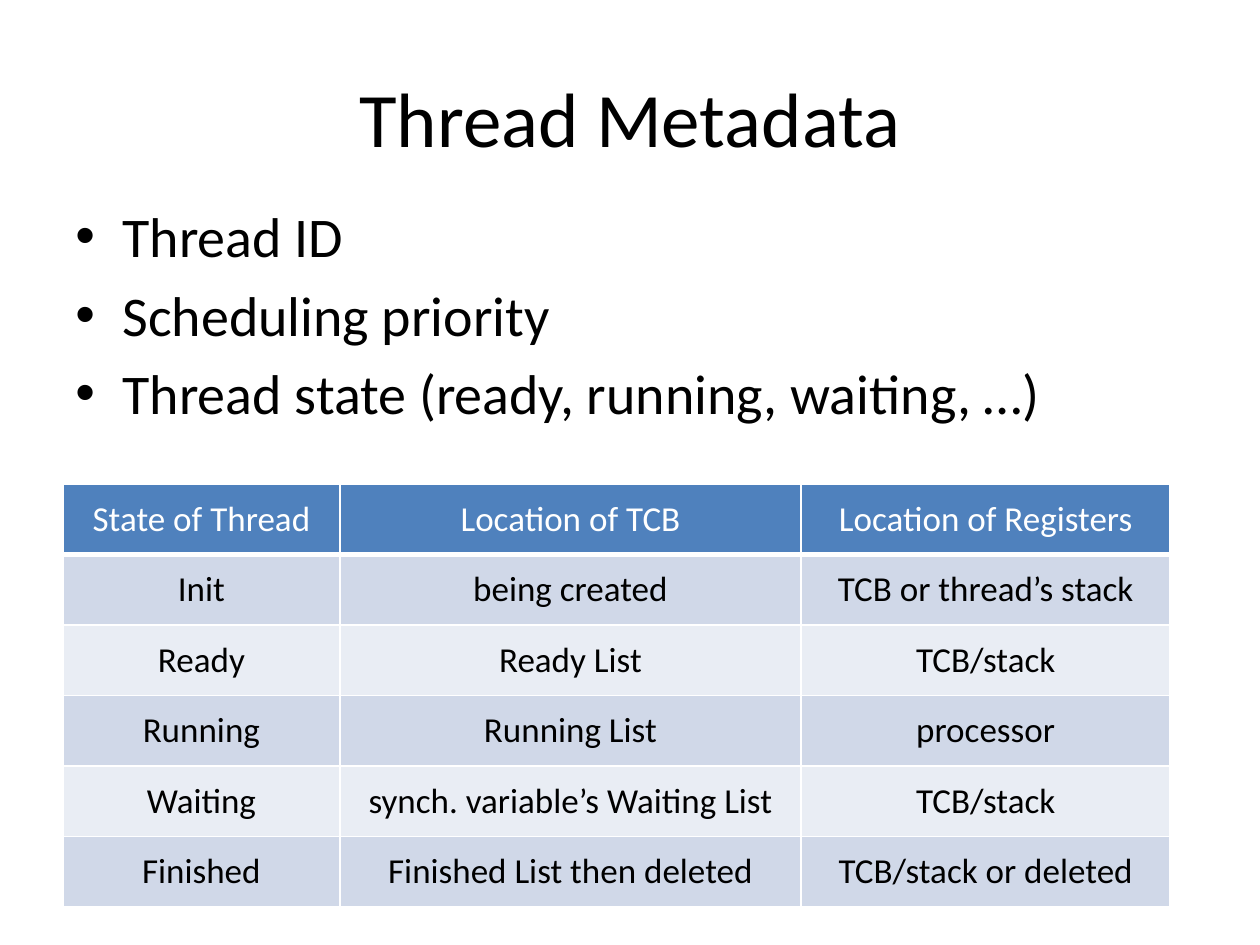
"""Build the Thread Metadata slide with a bullet list and a state table."""
from lxml import etree
from pptx import Presentation
from pptx.dml.color import RGBColor
from pptx.enum.text import MSO_ANCHOR, PP_ALIGN
from pptx.oxml.ns import qn
from pptx.util import Cm, Pt

MID, TOP = MSO_ANCHOR.MIDDLE, MSO_ANCHOR.TOP
CENTER, LEFT = PP_ALIGN.CENTER, PP_ALIGN.LEFT
COLORS = {"text": "000000", "white": "FFFFFF", "head": "4F81BD",
          "odd": "D0D8E8", "even": "E9EDF4"}
POINTS = ["Thread ID", "Scheduling priority",
          "Thread state (ready, running, waiting, …)"]
ROWS = [
    ["State of Thread", "Location of TCB", "Location of Registers"],
    ["Init", "being created", "TCB or thread’s stack"],
    ["Ready", "Ready List", "TCB/stack"],
    ["Running", "Running List", "processor"],
    ["Waiting", "synch. variable’s Waiting List", "TCB/stack"],
    ["Finished", "Finished List then deleted", "TCB/stack or deleted"],
]
WIDTHS = [5.58, 9.3, 7.44]
ROW = 1.42


def write(para, text, size, color, align):
    para.alignment = align
    run = para.add_run()
    run.text = text
    looks = {"name": "Calibri", "size": Pt(size)}
    for key, value in looks.items():
        setattr(run.font, key, value)
    run.font.color.rgb = RGBColor.from_string(COLORS[color])


def add_box(top, height, anchor):
    box = slide.shapes.add_textbox(Cm(1.27), Cm(top), Cm(22.86), Cm(height))
    frame = box.text_frame
    frame.word_wrap = True
    frame.vertical_anchor = anchor
    return frame


deck = Presentation()
deck.slide_width, deck.slide_height = Cm(25.4), Cm(19.05)
slide = deck.slides.add_slide(deck.slide_layouts[6])

title = add_box(0.76, 3.18, MID)
write(title.paragraphs[0], "Thread Metadata", 44, "text", CENTER)

body = add_box(3.94, 13.08, TOP)
for i, point in enumerate(POINTS):
    para = body.add_paragraph() if i else body.paragraphs[0]
    write(para, point, 32, "text", LEFT)
    para.space_before = Pt(6.4)
    props = para._p.get_or_add_pPr()
    props.set("marL", str(Cm(0.95)))
    props.set("indent", str(-Cm(0.95)))
    etree.SubElement(props, qn("a:buFont"), typeface="Arial")
    etree.SubElement(props, qn("a:buChar"), char="•")

table = slide.shapes.add_table(
    len(ROWS), len(WIDTHS), Cm(1.27), Cm(9.76),
    Cm(sum(WIDTHS)), Cm(ROW * len(ROWS))).table
for col, width in zip(table.columns, WIDTHS):
    col.width = Cm(width)
for r, texts in enumerate(ROWS):
    table.rows[r].height = Cm(ROW)
    band = "head" if r == 0 else "odd" if r % 2 else "even"
    for c, text in enumerate(texts):
        cell = table.cell(r, c)
        cell.vertical_anchor = MID
        ink = "text" if r else "white"
        write(cell.text_frame.paragraphs[0], text, 20, ink, CENTER)
        props = cell._tc.get_or_add_tcPr()
        for side in "LRTB":
            weight = 3 if r == 0 and side == "B" else 1
            line = etree.SubElement(props, qn(f"a:ln{side}"), w=str(Pt(weight)))
            paint = etree.SubElement(line, qn("a:solidFill"))
            etree.SubElement(paint, qn("a:srgbClr"), val=COLORS["white"])
        cell.fill.solid()
        cell.fill.fore_color.rgb = RGBColor.from_string(COLORS[band])

deck.save("out.pptx")
